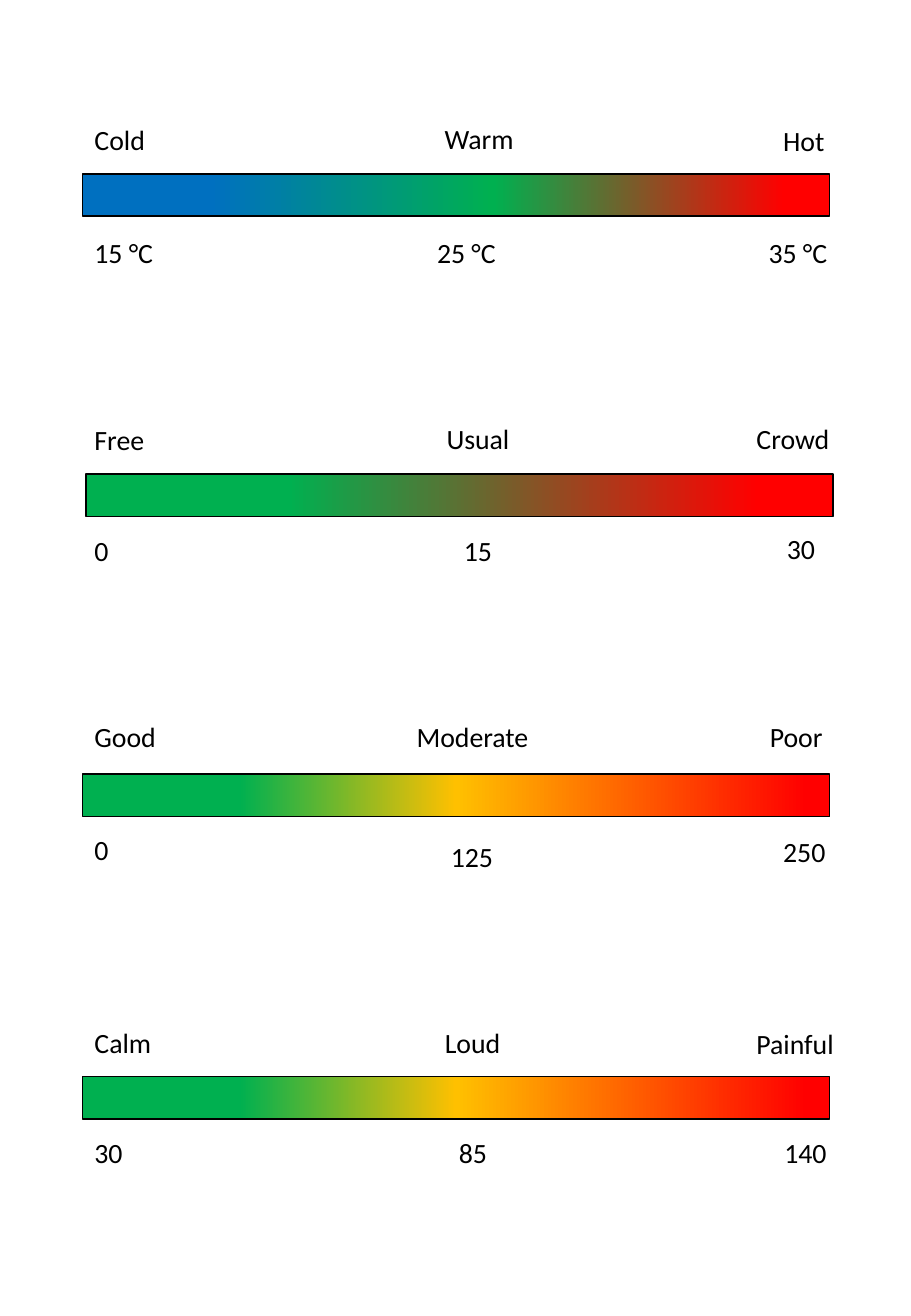
from copy import deepcopy

from pptx import Presentation
from pptx.dml.color import RGBColor
from pptx.enum import shapes, text
from pptx.oxml.ns import qn
from pptx.util import Inches, Pt

BLACK = RGBColor(0, 0, 0)
BLUE = RGBColor(0x00, 0x70, 0xC0)
GREEN = RGBColor(0x00, 0xB0, 0x50)
AMBER = RGBColor(0xFF, 0xC0, 0x00)
RED = RGBColor(0xFF, 0x00, 0x00)

LEFT, MID = text.PP_ALIGN.LEFT, text.PP_ALIGN.CENTER
BAR_W, BAR_H = 6.15, 0.35
TEXT_W, WIDE_W, TEXT_H = 0.97, 1.14, 0.38

TRAFFIC = [(21, GREEN), (50, AMBER), (97, RED)]

# Each scale: bar left, bar top, colour stops, labels.
# Each label: words, offset from the bar's corner, then alignment and width.
SCALES = [
    (0.68, 1.43, [(17, BLUE), (55, GREEN), (94, RED)], [
        ("Cold", 0, -0.47), ("Warm", 2.78, -0.48, MID), ("Hot", 5.67, -0.46),
        ("15 °C", 0, 0.46), ("25 °C", 2.82, 0.46), ("35 °C", 5.55, 0.46)]),
    (0.71, 3.9, [(27, GREEN), (90, RED)], [
        ("Free", -0.03, -0.47), ("Usual", 2.74, -0.48, MID),
        ("Crowd", 5.42, -0.48),
        ("0", -0.03, 0.44), ("15", 2.74, 0.44, MID), ("30", 5.67, 0.43)]),
    (0.68, 6.37, TRAFFIC, [
        ("Good", 0, -0.5), ("Moderate", 2.64, -0.5, MID, WIDE_W),
        ("Poor", 5.56, -0.5),
        ("0", 0, 0.43), ("125", 2.72, 0.49, MID), ("250", 5.67, 0.45)]),
    (0.68, 8.86, TRAFFIC, [
        ("Calm", 0, -0.47), ("Loud", 2.64, -0.47, MID, WIDE_W),
        ("Painful", 5.45, -0.46),
        ("30", 0, 0.44), ("85", 2.73, 0.44, MID), ("140", 5.68, 0.44)]),
]


def add_bar(group, left, top, stops):
    """Draw an outlined bar whose fill runs through the colour stops."""
    bar = group.shapes.add_shape(
        shapes.MSO_SHAPE.RECTANGLE, Inches(left), Inches(top),
        Inches(BAR_W), Inches(BAR_H))
    bar.shadow.inherit = False
    bar.line.color.rgb = BLACK
    bar.line.width = Pt(1)
    bar.fill.gradient()
    bar.fill.gradient_angle = 0
    ramp = next(bar._element.iter(qn("a:gsLst")))
    while len(ramp) < len(stops):
        ramp.append(deepcopy(ramp[0]))
    for stop, (place, color) in zip(bar.fill.gradient_stops, stops):
        stop.position = place / 100
        stop.color.rgb = color


def add_label(group, left, top, words, align=LEFT, width=TEXT_W):
    """Place one line of text in a box."""
    box = group.shapes.add_textbox(
        Inches(left), Inches(top), Inches(width), Inches(TEXT_H))
    frame = box.text_frame
    frame.word_wrap = True
    frame.auto_size = text.MSO_AUTO_SIZE.SHAPE_TO_FIT_TEXT
    line = frame.paragraphs[0]
    line.text = words
    line.alignment = align
    line.font.name = "Calibri"
    line.font.size = Pt(16.5)
    line.font.color.rgb = BLACK


def add_scale(slide, left, top, stops, labels):
    """Group a colour bar with the labels above and below it."""
    group = slide.shapes.add_group_shape()
    add_bar(group, left, top, stops)
    for words, x, y, *style in labels:
        add_label(group, left + x, top + y, words, *style)


deck = Presentation()
deck.slide_width, deck.slide_height = Inches(7.5), Inches(10.83)
page = deck.slides.add_slide(deck.slide_layouts[6])
for scale in SCALES:
    add_scale(page, *scale)
deck.save("out.pptx")
